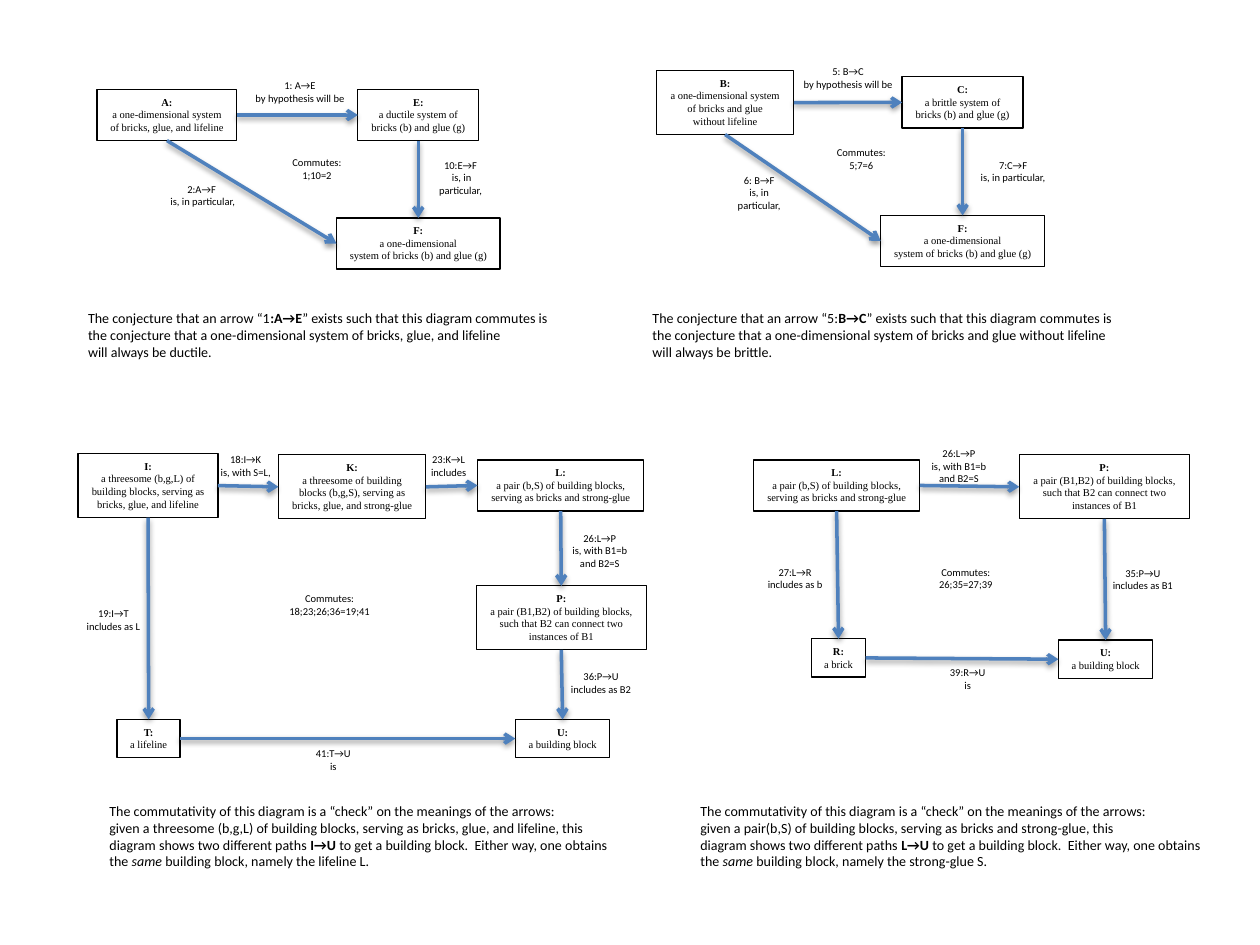
from pptx import Presentation
from pptx.dml.color import RGBColor
from pptx.enum.shapes import MSO_CONNECTOR
from pptx.enum.text import MSO_AUTO_SIZE, PP_ALIGN
from pptx.oxml.ns import qn
from pptx.util import Cm, Pt

BLACK = RGBColor(0x00, 0x00, 0x00)
BLUE = RGBColor(0x4F, 0x81, 0xBD)
LINE = MSO_CONNECTOR.STRAIGHT
FIT = MSO_AUTO_SIZE.SHAPE_TO_FIT_TEXT
MID, LEFT = PP_ALIGN.CENTER, PP_ALIGN.LEFT
DOWN, WEST, EAST = 2, 1, 3  # sides of a box
TOP = 0

NODE = {"size": Pt(6), "name": "Times New Roman"}
LABEL = {"size": Pt(6), "name": "Calibri"}
NOTE = {"size": Pt(8), "name": "Calibri"}
BOLD, SLANT = {"bold": True}, {"italic": True}

# Text of each node
NODES = {
    "A": ["a one-dimensional system", "of bricks, glue, and lifeline"],
    "B": ["a one-dimensional system", "of bricks and glue", "without lifeline"],
    "C": ["a brittle system of", "bricks (b) and glue (g)"],
    "E": ["a ductile system of", "bricks (b) and glue (g)"],
    "F": ["a one-dimensional", "system of bricks (b) and glue (g)"],
    "I": ["a threesome (b,g,L) of", "building blocks, serving as",
          "bricks, glue, and lifeline"],
    "K": ["a threesome of building", "blocks (b,g,S), serving as",
          "bricks, glue, and strong-glue"],
    "L": ["a pair (b,S) of building blocks,", "serving as bricks and strong-glue"],
    "P": ["a pair (B1,B2) of building blocks,", "such that B2 can connect two",
          "instances of B1"],
    "R": ["a brick"],
    "T": ["a lifeline"],
    "U": ["a building block"],
}
WIDTHS = {"A": 1.11, "B": 1.09, "C": 0.96, "E": 0.96, "F": 1.3, "I": 1.11,
          "K": 1.17, "L": 1.32, "P": 1.35, "R": 0.43, "T": 0.5, "U": 0.75}

# Each diagram: node places, arrows with their sides, labels (left, top, width)
CHARTS = [
    {"nodes": {"A": (0.77, 0.71), "E": (2.84, 0.71), "F": (2.67, 1.73)},
     "arrows": [("A", EAST, "E", WEST), ("E", DOWN, "F", TOP),
                ("A", DOWN, "F", WEST)],
     "labels": [(1.92, 0.58, 0.92, ["1: A→E", "by hypothesis will be"]),
                (1.23, 1.4, 0.74, ["2:A→F", " is, in particular,"]),
                (3.38, 1.21, 0.55, ["10:E→F", " is, in", "particular,"]),
                (2.22, 1.19, 0.59, ["Commutes:", "1;10=2"])]},
    {"nodes": {"B": (5.21, 0.56), "C": (7.16, 0.61), "F": (6.99, 1.71)},
     "arrows": [("B", EAST, "C", WEST), ("C", DOWN, "F", TOP),
                ("B", DOWN, "F", WEST)],
     "labels": [(6.27, 0.47, 0.92, ["5: B→C", "by hypothesis will be"]),
                (5.75, 1.33, 0.55, ["6: B→F", "is, in", "particular,"]),
                (7.68, 1.21, 0.72, ["7:C→F", "is, in particular,"]),
                (6.54, 1.11, 0.59, ["Commutes:", "5;7=6"])]},
    {"nodes": {"I": (0.62, 3.6), "K": (2.21, 3.61), "L": (3.79, 3.65),
               "P": (3.78, 4.65), "T": (0.93, 5.71), "U": (4.09, 5.71)},
     "arrows": [("I", EAST, "K", WEST), ("K", EAST, "L", WEST),
                ("L", DOWN, "P", TOP), ("P", DOWN, "U", TOP),
                ("I", DOWN, "T", TOP), ("T", EAST, "U", WEST)],
     "labels": [(1.65, 3.55, 0.6, ["18:I→K", "is, with S=L,"]),
                (3.32, 3.55, 0.48, ["23:K→L", "includes"]),
                (4.44, 4.17, 0.64, ["26:L→P", "is, with B1=b", "and B2=S"]),
                (4.43, 5.27, 0.68, ["36:P→U", "includes as B2"]),
                (0.58, 4.77, 0.64, ["19:I→T", "includes as L"]),
                (2.4, 5.88, 0.49, ["41:T→U", "is"]),
                (2.19, 4.65, 0.85, ["Commutes:", "18;23;26;36=19;41"])]},
    {"nodes": {"L": (5.98, 3.65), "P": (8.09, 3.61), "R": (6.44, 5.07),
               "U": (8.4, 5.08)},
     "arrows": [("L", EAST, "P", WEST), ("P", DOWN, "U", TOP),
                ("L", DOWN, "R", TOP), ("R", EAST, "U", WEST)],
     "labels": [(7.29, 3.5, 0.64, ["26:L→P", "is, with B1=b", "and B2=S"]),
                (8.73, 4.45, 0.68, ["35:P→U", "includes as B1"]),
                (5.99, 4.44, 0.64, ["27:L→R", "includes as b"]),
                (7.43, 5.24, 0.5, ["39:R→U", "is"]),
                (7.35, 4.44, 0.63, ["Commutes:", "26;35=27;39"])]},
]


def size(inch):
    return Cm(inch * 2.54)


def add_text(shapes, place, lines, form, align=MID):
    """Add a text box; a line is a string or a list of (text, format) runs."""
    left, top, width = place
    high = 0.1 + len(lines) * form["size"].pt * 0.017
    box = shapes.add_textbox(*map(size, (left, top, width, high)))
    frame = box.text_frame
    frame.word_wrap = False
    frame.auto_size = FIT
    for num, line in enumerate(lines):
        para = frame.add_paragraph() if num else frame.paragraphs[0]
        para.alignment = align
        for text, more in [(line, {})] if isinstance(line, str) else line:
            run = para.add_run()
            run.text = text
            run.font.color.rgb = BLACK
            for key, val in {**form, **more}.items():
                setattr(run.font, key, val)
    return box


def add_node(shapes, key, spot):
    lines = [[(key + ":", BOLD)]] + NODES[key]
    box = add_text(shapes, (*spot, WIDTHS[key]), lines, NODE)
    box.line.color.rgb = BLACK
    box.line.width = Pt(0.75)
    return box


def add_arrow(shapes, start, side, end, goal):
    # The soft shadow comes from the theme
    arrow = shapes.add_connector(LINE, start.left, start.top, end.left, end.top)
    arrow.begin_connect(start, side)
    arrow.end_connect(end, goal)
    arrow.line.color.rgb = BLUE
    arrow.line.width = Pt(2)
    line = arrow.line._get_or_add_ln()
    line.append(line.makeelement(qn("a:tailEnd"), {"type": "arrow"}))


def add_chart(slide, chart):
    shapes = slide.shapes.add_group_shape().shapes
    boxes = {key: add_node(shapes, key, spot)
             for key, spot in chart["nodes"].items()}
    for left, top, width, lines in chart["labels"]:
        add_text(shapes, (left, top, width), lines, LABEL)
    for start, side, end, goal in chart["arrows"]:
        add_arrow(shapes, boxes[start], side, boxes[end], goal)


def guess(num, arrow, parts, fate):
    return [[("The conjecture that an arrow “" + num, {}), (arrow, BOLD),
             ("” exists such that this diagram commutes is", {})],
            f"the conjecture that a one-dimensional system of {parts}",
            f"will always be {fate}."]


def check(given, arrow, part):
    return ["The commutativity of this diagram is a “check” on the meanings of the arrows:",
            f"given a {given}, this",
            [("diagram shows two different paths ", {}), (arrow + " ", BOLD),
             ("to get a building block.  Either way, one obtains", {})],
            [("the ", {}), ("same", SLANT),
             (f" building block, namely the {part}.", {})]]


def main():
    deck = Presentation()
    deck.slide_width, deck.slide_height = Cm(25.4), Cm(19.05)
    slide = deck.slides.add_slide(deck.slide_layouts[6])

    # Diagrams
    for chart in CHARTS:
        add_chart(slide, chart)

    # Notes below the diagrams
    notes = [
        ((0.6, 2.41, 3.88),
         guess("1", ":A→E", "bricks, glue, and lifeline", "ductile")),
        ((5.08, 2.41, 3.88),
         guess("5:", "B→C", "bricks and glue without lifeline", "brittle")),
        ((0.77, 6.32, 4.16),
         check("threesome (b,g,L) of building blocks, serving as bricks, glue, and lifeline",
               "I→U", "lifeline L")),
        ((5.46, 6.32, 4.21),
         check("pair(b,S) of building blocks, serving as bricks and strong-glue",
               "L→U", "strong-glue S")),
    ]
    for place, lines in notes:
        add_text(slide.shapes, place, lines, NOTE, LEFT)

    deck.save("out.pptx")


if __name__ == "__main__":
    main()
